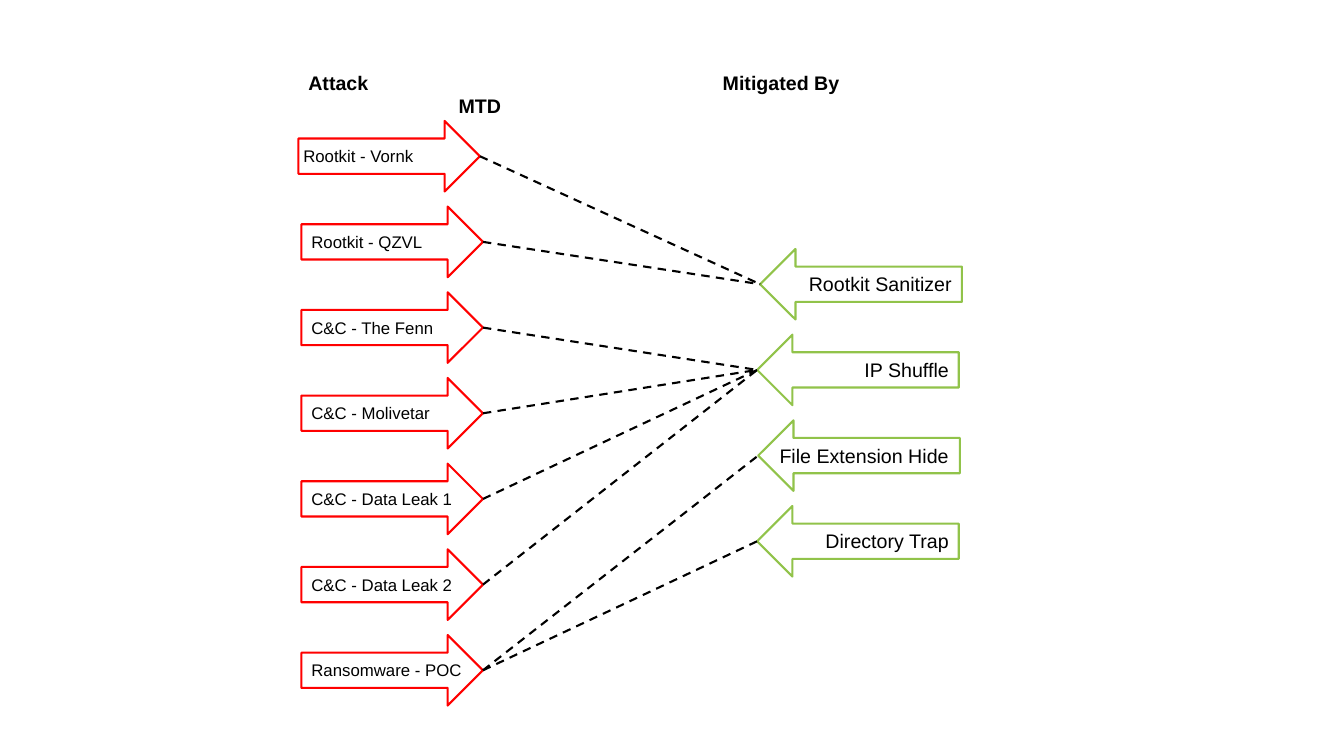
from lxml import etree
from pptx import Presentation
from pptx.dml.color import RGBColor
from pptx.enum.dml import MSO_LINE
from pptx.enum.shapes import MSO_CONNECTOR, MSO_SHAPE
from pptx.enum.text import MSO_AUTO_SIZE, PP_ALIGN
from pptx.oxml.ns import qn
from pptx.util import Inches, Pt

RIGHT_ARROW, LEFT_ARROW = MSO_SHAPE.RIGHT_ARROW, MSO_SHAPE.LEFT_ARROW
STRAIGHT, DASH = MSO_CONNECTOR.STRAIGHT, MSO_LINE.DASH
LEFT, RIGHT = PP_ALIGN.LEFT, PP_ALIGN.RIGHT
FIT_TEXT = MSO_AUTO_SIZE.SHAPE_TO_FIT_TEXT

BLACK, RED, GREEN = "000000", "FF0000", "91C34A"
ROW = 0.85           # distance from one arrow to the next
ARROW_HEIGHT = 0.7
LEFT_SITE, RIGHT_SITE = 1, 3  # connection sites of an arrow

# Label, shift of the arrow, shift of its text
ATTACKS = [
    ("Rootkit - Vornk", -0.03, -0.08),
    ("Rootkit - QZVL", 0, 0),
    ("C&C - The Fenn", 0, 0),
    ("C&C - Molivetar", 0, 0),
    ("C&C - Data Leak 1", 0, 0),
    ("C&C - Data Leak 2", 0, 0),
    ("Ransomware - POC", 0, 0),
]
DEFENCES = [
    ("Rootkit Sanitizer", 0.03, 0.03),
    ("IP Shuffle", 0, 0),
    ("File Extension Hide", 0.01, 0),
    ("Directory Trap", 0, 0),
]
# Attack row, defence row
MITIGATIONS = [(0, 0), (1, 0), (2, 1), (3, 1), (4, 1), (5, 1), (6, 2), (6, 3)]


def colour(hex_code):
    return RGBColor.from_string(hex_code)


def add_text(page, box, lines, size, align=LEFT, bold=False):
    """Write one paragraph per line and return the paragraphs."""
    text_box = page.shapes.add_textbox(*map(Inches, box))
    frame = text_box.text_frame
    frame.word_wrap = True
    frame.auto_size = FIT_TEXT
    frame.margin_left = frame.margin_right = Inches(0.1)
    frame.margin_top = frame.margin_bottom = Inches(0.1)
    for index, line in enumerate(lines):
        para = frame.add_paragraph() if index else frame.paragraphs[0]
        para.alignment = align
        span = para.add_run()
        span.text = line
        span.font.name = "Arial"
        span.font.size = Pt(size)
        span.font.bold = bold
        span.font.color.rgb = colour(BLACK)
    return frame.paragraphs


def add_arrow(page, kind, box, line_colour):
    arrow = page.shapes.add_shape(kind, *map(Inches, box))
    arrow.shadow.inherit = False
    arrow.fill.background()
    arrow.line.color.rgb = colour(line_colour)
    arrow.line.width = Pt(1.5)
    return arrow


def add_column(page, box, items, kind, line_colour, size, align, text_height):
    """Stack labelled arrows downwards and return them."""
    left, top, width = box
    arrows = []
    for row, (label, arrow_shift, text_shift) in enumerate(items):
        y = top + row * ROW
        text_top = y + (ARROW_HEIGHT - text_height) / 2
        arrow_box = (left + arrow_shift, y, width, ARROW_HEIGHT)
        arrows.append(add_arrow(page, kind, arrow_box, line_colour))
        text_box = (left + text_shift, text_top, width, text_height)
        add_text(page, text_box, [label], size, align)
    return arrows


def add_headings(page, box):
    """Place the column headings on tab stops."""
    paras = add_text(page, box, ["Attack\tMitigated By", "\tMTD"], 14, bold=True)
    for para, stop in zip(paras, (4.11, 1.49)):
        properties = para._p.get_or_add_pPr()
        tabs = etree.SubElement(properties, qn("a:tabLst"))
        etree.SubElement(tabs, qn("a:tab"), pos=str(Inches(stop)), algn="l")


def add_links(page, attacks, defences):
    """Join each attack to the defences that mitigate it."""
    for attack, defence in MITIGATIONS:
        link = page.shapes.add_connector(STRAIGHT, 0, 0, 0, 0)
        link.begin_connect(attacks[attack], RIGHT_SITE)
        link.end_connect(defences[defence], LEFT_SITE)
        link.line.color.rgb = colour(BLACK)
        link.line.width = Pt(1.5)
        link.line.dash_style = DASH
        etree.SubElement(link._element.spPr, qn("a:effectLst"))


deck = Presentation()
deck.slide_width, deck.slide_height = Inches(13.33), Inches(7.5)
page = deck.slides.add_slide(deck.slide_layouts[6])

attacks = add_column(page, (2.99, 1.2, 1.8), ATTACKS,
                     RIGHT_ARROW, RED, 12, LEFT, 0.4)
defences = add_column(page, (7.51, 2.47, 2), DEFENCES,
                      LEFT_ARROW, GREEN, 14, RIGHT, 0.44)
add_headings(page, (2.96, 0.6, 6.63, 0.67))
add_links(page, attacks, defences)

deck.save("out.pptx")
